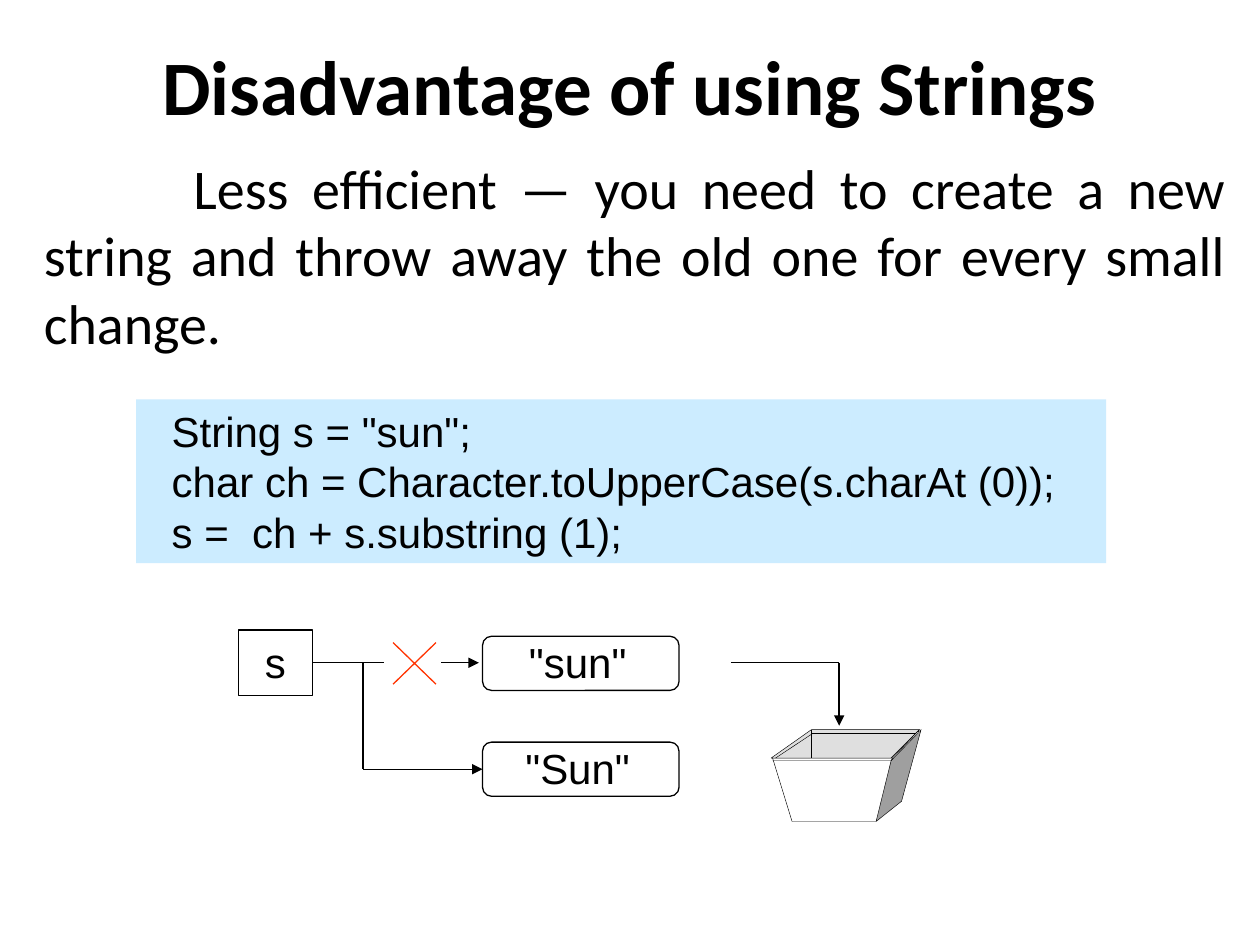
import pptx
import pptx.util
import pptx.dml.color
import pptx.enum.shapes
import pptx.enum.text
import pptx.oxml.ns
import lxml.etree

RGB = pptx.dml.color.RGBColor
SHAPE = pptx.enum.shapes.MSO_SHAPE
ALIGN = pptx.enum.text.PP_ALIGN
ANCHOR = pptx.enum.text.MSO_ANCHOR
qn = pptx.oxml.ns.qn
BLACK = RGB(0x00, 0x00, 0x00)
CODE_FILL = RGB(0xCC, 0xEC, 0xFF)
CROSS_RED = RGB(0xFF, 0x33, 0x00)
BASKET_INSIDE = RGB(0xDF, 0xDF, 0xDF)
BASKET_SIDE = RGB(0x9F, 0x9F, 0x9F)

prs = pptx.Presentation()
prs.slide_width = pptx.util.Inches(10)
prs.slide_height = pptx.util.Inches(7.5)
COL = prs.slide_width / 100   # grid of 100 columns
ROW = prs.slide_height / 75   # and 75 rows


def emu(x, y):
    """Turn grid columns and rows into slide lengths."""
    return round(x * COL), round(y * ROW)


def write(sp, lines, size, font, align=ALIGN.LEFT, bold=False, anchor=ANCHOR.TOP,
          tab=None):
    tf = sp.text_frame
    tf.word_wrap = True
    tf.vertical_anchor = anchor
    for i, line in enumerate(lines):
        p = tf.paragraphs[0] if i == 0 else tf.add_paragraph()
        p.alignment = align
        if tab is not None:
            tabs = lxml.etree.SubElement(p._p.get_or_add_pPr(), qn("a:tabLst"))
            lxml.etree.SubElement(tabs, qn("a:tab"), pos=str(round(tab * COL)), algn="l")
        r = p.add_run()
        r.text = line
        r.font.size = pptx.util.Pt(size)
        r.font.name = font
        r.font.bold = bold
        r.font.color.rgb = BLACK


def paint(sp, fill=None, line=None, width=0.75):
    sp.shadow.inherit = False
    if fill is None:
        sp.fill.background()
    else:
        sp.fill.solid()
        sp.fill.fore_color.rgb = fill
    if line is None:
        sp.line.fill.background()
    else:
        sp.line.color.rgb = line
        sp.line.width = pptx.util.Pt(width)


def text_box(s, box, lines, *style, **more):
    sp = s.shapes.add_textbox(*emu(*box[:2]), *emu(*box[2:]))
    write(sp, lines, *style, **more)


def shape(s, kind, box, fill=None, line=None):
    sp = s.shapes.add_shape(kind, *emu(*box[:2]), *emu(*box[2:]))
    paint(sp, fill, line)
    return sp


def line(s, start, end, color=BLACK, width=0.75, arrow=False):
    c = s.shapes.add_connector(pptx.enum.shapes.MSO_CONNECTOR.STRAIGHT,
                               *emu(*start), *emu(*end))
    c.line.color.rgb = color
    c.line.width = pptx.util.Pt(width)
    if arrow:
        lxml.etree.SubElement(c.line._get_or_add_ln(), qn("a:tailEnd"), type="triangle")
    lxml.etree.SubElement(c._element.spPr, qn("a:effectLst"))
    return c


def title(s, box):
    text_box(s, box, ["Disadvantage of using Strings"], 44, "Calibri",
             align=ALIGN.CENTER, bold=True, anchor=ANCHOR.MIDDLE)


def statement(s, box):
    text_box(s, box, ["\t Less efficient — you need to create a new string and "
                      "throw away the old one for every small change."],
             32, "Calibri", align=ALIGN.JUSTIFY, tab=10)


def code_panel(s, box):
    sp = shape(s, SHAPE.RECTANGLE, box, fill=CODE_FILL)
    write(sp, ['  String s = "sun";',
               "  char ch = Character.toUpperCase(s.charAt (0));",
               "  s =  ch + s.substring (1);"], 24, "Arial")


def string_object(s, box, label):
    x, y, w, h = box
    sp = shape(s, SHAPE.ROUNDED_RECTANGLE, box, line=BLACK)
    sp.adjustments[0] = 0.167
    text_box(s, (x - 1.6, y - 0.5, w + 2.7, h + 0.7), [label], 24, "Arial",
             align=ALIGN.CENTER)
    return sp


def references(s, box):
    """Variable s drops the old string and points to the new one."""
    x, y, w, h = box
    var_w, var_h = 5.9, 5.2
    obj_w, obj_h = 15.6, 4.3
    mid, fork = y + var_h / 2, x + 9.9
    left = x + w - obj_w
    low = y + h - obj_h / 2

    var = shape(s, SHAPE.RECTANGLE, (x, y, var_w, var_h), line=BLACK)
    write(var, ["s"], 24, "Arial", align=ALIGN.CENTER)
    string_object(s, (left, y + 0.5, obj_w, obj_h), '"sun"')
    new = string_object(s, (left, y + h - obj_h, obj_w, obj_h), '"Sun"')

    # Broken link to the old string
    line(s, (x + var_w, mid), (x + 11.6, mid)).begin_connect(var, 3)
    cross_l, cross_r, cross_t, cross_b = x + 12.3, x + 15.7, y + 1, y + 4.3
    line(s, (cross_l, cross_b), (cross_r, cross_t), CROSS_RED)
    line(s, (cross_l, cross_t), (cross_r, cross_b), CROSS_RED)
    line(s, (x + 16.1, mid), (left - 0.3, mid), arrow=True)

    # Link to the new string
    line(s, (fork, mid), (fork, low))
    line(s, (fork, low), (left, low), arrow=True).end_connect(new, 1)


def discard_arrow(s, box):
    x, y, w, h = box
    line(s, (x, y), (x + w, y))
    line(s, (x + w, y), (x + w, y + h), arrow=True)


def basket(s, box):
    """Waste basket; points are shares of its box."""
    x, y, w, h = box

    def at(point):
        return x + point[0] * w, y + point[1] * h

    faces = [
        ([(0, .31), (.27, 0), (.99, 0), (.81, .31)], True, BASKET_INSIDE),
        ([(.99, .03), (1, 0), (.87, .78), (.7, 1), (.8, .34), (.81, .31)],
         False, BASKET_SIDE),
        ([(.01, .31), (.14, 1), (.7, 1)], False, None),
        ([(.01, .34), (.8, .34), (.98, .04), (.99, 0), (.8, .31)], False, None),
    ]
    for points, closed, fill in faces:
        first, *rest = [emu(*at(p)) for p in points]
        fb = s.shapes.build_freeform(*first)
        fb.add_line_segments(rest, close=closed)
        paint(fb.convert_to_shape(), fill, BLACK, 0.25)

    inner_edges = [((.27, .01), (.27, .31)), ((.27, .04), (.96, .04)),
                   ((.03, .31), (.28, .04))]
    for start, end in inner_edges:
        line(s, at(start), at(end), width=0.25)


def main():
    s = prs.slides.add_slide(prs.slide_layouts[6])
    # Boxes: left column, top row, columns wide, rows high
    title(s, (0, 1.7, 100, 10))
    statement(s, (2.5, 11.7, 95.8, 17.2))
    code_panel(s, (10.8, 31.7, 77, 13))
    references(s, (18.9, 50, 35, 13.2))
    basket(s, (61.2, 57.9, 11.9, 7.3))
    discard_arrow(s, (58, 52.6, 8.6, 5))
    prs.save("out.pptx")


if __name__ == "__main__":
    main()
